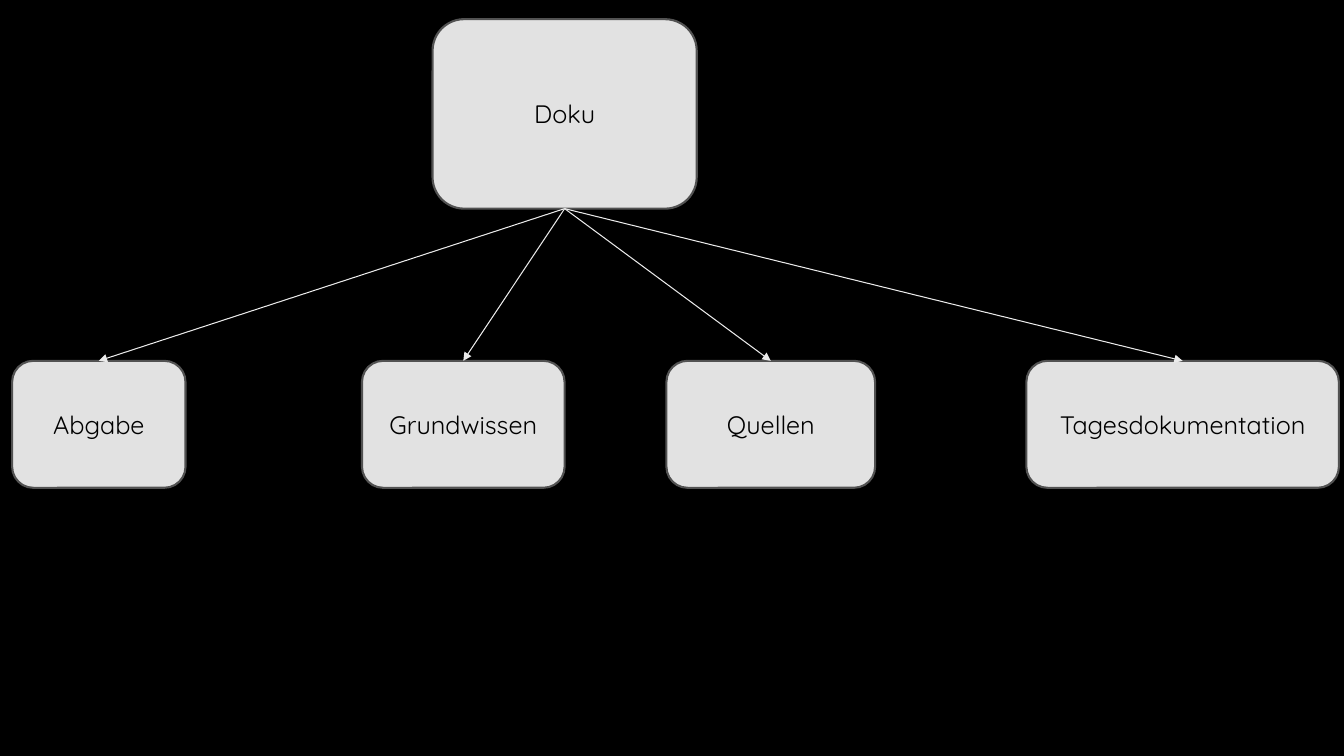
from pptx import Presentation
from pptx.dml.color import RGBColor
from pptx.enum import shapes, text
from pptx.oxml.ns import qn
from pptx.util import Inches, Pt
from lxml import etree

BLACK = RGBColor(0x00, 0x00, 0x00)
BOX_FILL = RGBColor(0xE2, 0xE2, 0xE2)
BOX_LINE = RGBColor(0x52, 0x52, 0x52)
ARROW = RGBColor(0xEB, 0xEB, 0xEB)

CHILD_TOP, CHILD_HEIGHT = 3.58, 1.26
CHILDREN = [  # label, left, width
    ("Abgabe", 0.12, 1.72),
    ("Grundwissen", 3.59, 2.01),
    ("Quellen", 6.61, 2.07),
    ("Tagesdokumentation", 10.18, 3.1),
]

presentation = Presentation()
presentation.slide_width = Inches(13.33)
presentation.slide_height = Inches(7.5)
slide = presentation.slides.add_slide(presentation.slide_layouts[6])
slide.background.fill.solid()
slide.background.fill.fore_color.rgb = BLACK


def add_box(label, left, top, width, height):
    box = slide.shapes.add_shape(
        shapes.MSO_SHAPE.ROUNDED_RECTANGLE,
        Inches(left), Inches(top), Inches(width), Inches(height))
    box.shadow.inherit = False
    box.fill.solid()
    box.fill.fore_color.rgb = BOX_FILL
    box.line.color.rgb = BOX_LINE
    box.line.width = Pt(1.5)
    box.text_frame.vertical_anchor = text.MSO_ANCHOR.MIDDLE
    paragraph = box.text_frame.paragraphs[0]
    paragraph.text = label
    paragraph.alignment = text.PP_ALIGN.CENTER
    paragraph.font.name = "Quicksand"
    paragraph.font.size = Pt(18)
    paragraph.font.color.rgb = BLACK
    return box


def add_arrow(parent, child):
    """Connect the bottom centre of parent to the top centre of child."""
    arrow = slide.shapes.add_connector(shapes.MSO_CONNECTOR.STRAIGHT, 0, 0, 0, 0)
    arrow.begin_connect(parent, 2)
    arrow.end_connect(child, 0)
    arrow.line.color.rgb = ARROW
    arrow.line.width = Pt(0.75)
    etree.SubElement(arrow.line._get_or_add_ln(), qn("a:tailEnd"), type="triangle")
    etree.SubElement(arrow._element.spPr, qn("a:effectLst"))


root = add_box("Doku", 4.29, 0.19, 2.62, 1.88)
boxes = [add_box(label, left, CHILD_TOP, width, CHILD_HEIGHT)
         for label, left, width in CHILDREN]
for box in boxes:
    add_arrow(root, box)

presentation.save("out.pptx")
